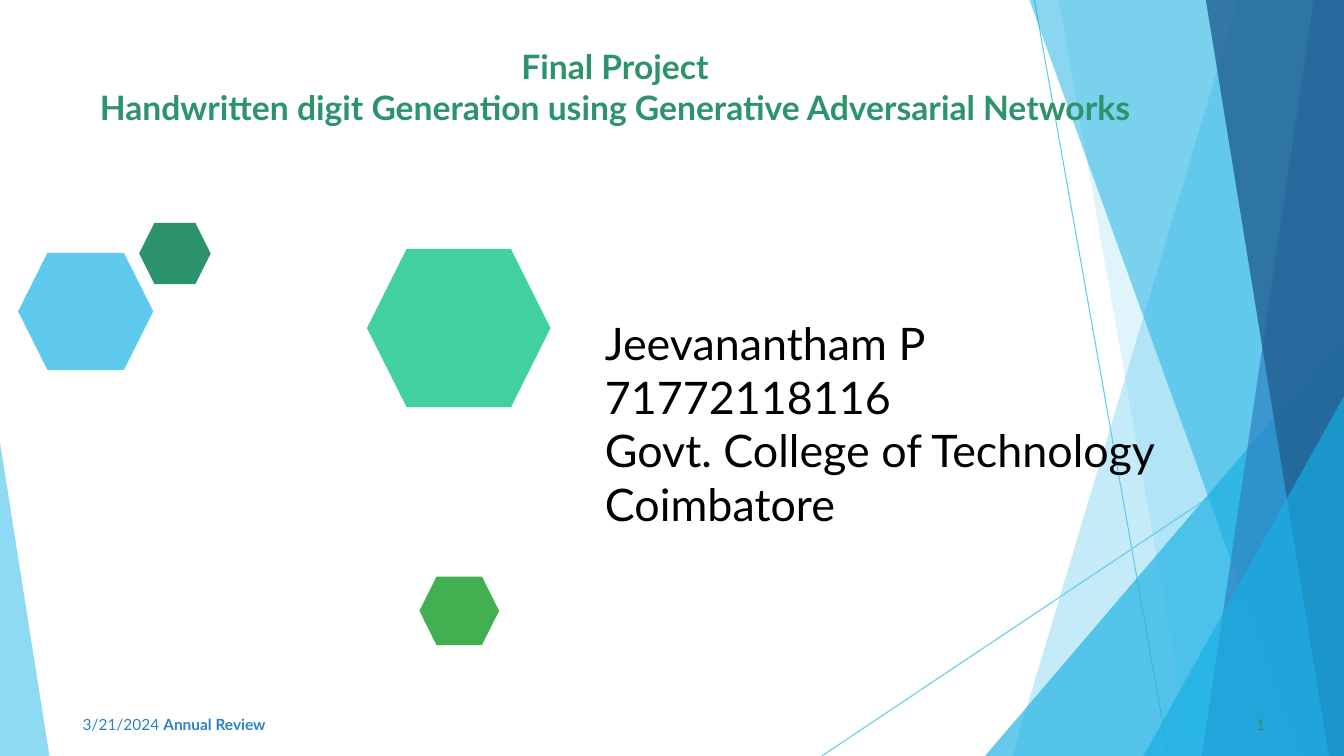
from lxml import etree
from pptx import Presentation
from pptx.dml.color import RGBColor
from pptx.enum.shapes import MSO_CONNECTOR, MSO_SHAPE
from pptx.enum.text import MSO_ANCHOR, PP_ALIGN
from pptx.oxml.ns import qn
from pptx.util import Inches, Pt

STRAIGHT = MSO_CONNECTOR.STRAIGHT
HEXAGON = MSO_SHAPE.HEXAGON
TOP = MSO_ANCHOR.TOP
LEFT, CENTER = PP_ALIGN.LEFT, PP_ALIGN.CENTER
WIDTH, HEIGHT = 13.33, 7.5


def color(value):
    return RGBColor.from_string(value)


def add_text(left, top, width, height, lines, size, text_color, align=LEFT):
    box = page.shapes.add_textbox(Inches(left), Inches(top), Inches(width), Inches(height))
    frame = box.text_frame
    frame.word_wrap = True
    frame.vertical_anchor = TOP
    frame.margin_left = frame.margin_right = frame.margin_bottom = 0
    frame.margin_top = Inches(0.01)
    for index, spans in enumerate(lines):
        para = frame.add_paragraph() if index else frame.paragraphs[0]
        para.alignment = align
        for text, bold in spans:
            span = para.add_run()
            span.text = text
            span.font.name = "Lato"
            span.font.size = Pt(size)
            span.font.bold = bold
            span.font.color.rgb = color(text_color)


deck = Presentation()
deck.slide_width, deck.slide_height = Inches(WIDTH), Inches(HEIGHT)
page = deck.slides.add_slide(deck.slide_layouts[6])
page.background.fill.solid()
page.background.fill.fore_color.rgb = color("FFFFFF")

for start_x, start_y, end_x, end_y in [(10.26, 0, 11.59, HEIGHT), (WIDTH, 4.04, 8.15, HEIGHT)]:
    line = page.shapes.add_connector(
        STRAIGHT, Inches(start_x), Inches(start_y), Inches(end_x), Inches(end_y))
    line.line.color.rgb = color("5FCAEE")
    line.line.width = Pt(0.75)
    etree.SubElement(line.element.spPr, qn("a:effectLst"))

right_top, right_bottom = (WIDTH, 0), (WIDTH, HEIGHT)
facets = [
    ("5FCAEE", 36, [right_top, (12.28, 0), (10.04, HEIGHT), right_bottom]),
    ("5FCAEE", 20, [right_top, (10.5, 0), (11.82, HEIGHT), right_bottom]),
    ("17AFE3", 65, [(WIDTH, 3.33), (9.77, HEIGHT), right_bottom]),
    ("17AFE3", 50, [right_top, (10.21, 0), (12.91, HEIGHT), right_bottom]),
    ("2D83C3", 70, [right_top, (13.03, 0), (11.92, HEIGHT), right_bottom]),
    ("226192", 80, [right_top, (11.96, 0), (13.18, HEIGHT), right_bottom]),
    ("17AFE3", 65, [(WIDTH, 3.93), (11.34, HEIGHT), right_bottom]),
    ("5FCAEE", 70, [(0, 4.39), (0, HEIGHT), (0.49, HEIGHT)]),
]
for fill, opacity, corners in facets:
    points = [(Inches(x), Inches(y)) for x, y in corners]
    outline = page.shapes.build_freeform(*points[0])
    outline.add_line_segments(points[1:], close=True)
    facet = outline.convert_to_shape()
    facet.shadow.inherit = False
    facet.line.fill.background()
    facet.fill.solid()
    facet.fill.fore_color.rgb = color(fill)
    tint = facet.element.spPr.find(qn("a:solidFill")).find(qn("a:srgbClr"))
    etree.SubElement(tint, qn("a:alpha"), val=str(opacity * 1000))

hexagons = [
    (0.18, 2.51, 1.34, 1.16, "5FCAEE"),
    (1.38, 2.21, 0.71, 0.61, "2D936B"),
    (3.64, 2.47, 1.82, 1.57, "42D0A1"),
    (4.16, 5.72, 0.79, 0.68, "42AF51"),
]
for left, top, width, height, fill in hexagons:
    hexagon = page.shapes.add_shape(
        HEXAGON, Inches(left), Inches(top), Inches(width), Inches(height))
    hexagon.shadow.inherit = False
    hexagon.line.fill.background()
    hexagon.fill.solid()
    hexagon.fill.fore_color.rgb = color(fill)

author_lines = ["Jeevanantham P", "71772118116", "Govt. College of Technology", "Coimbatore"]
add_text(6, 3.12, 6.03, 2.16, [[(text, False)] for text in author_lines], 32, "000000")

title_lines = [
    "Final Project",
    "Handwritten digit Generation using Generative Adversarial Networks",
]
add_text(0.58, 0.45, 11.04, 0.82, [[(text, True)] for text in title_lines], 24, "2D936B", CENTER)

add_text(0.82, 7.08, 1.97, 0.21, [[("3/21/2024 ", False), ("Annual Review", True)]], 11, "2D83C3")
add_text(12.46, 7.08, 0.13, 0.21, [[("1", False)]], 11, "2D936B")

deck.save("out.pptx")
